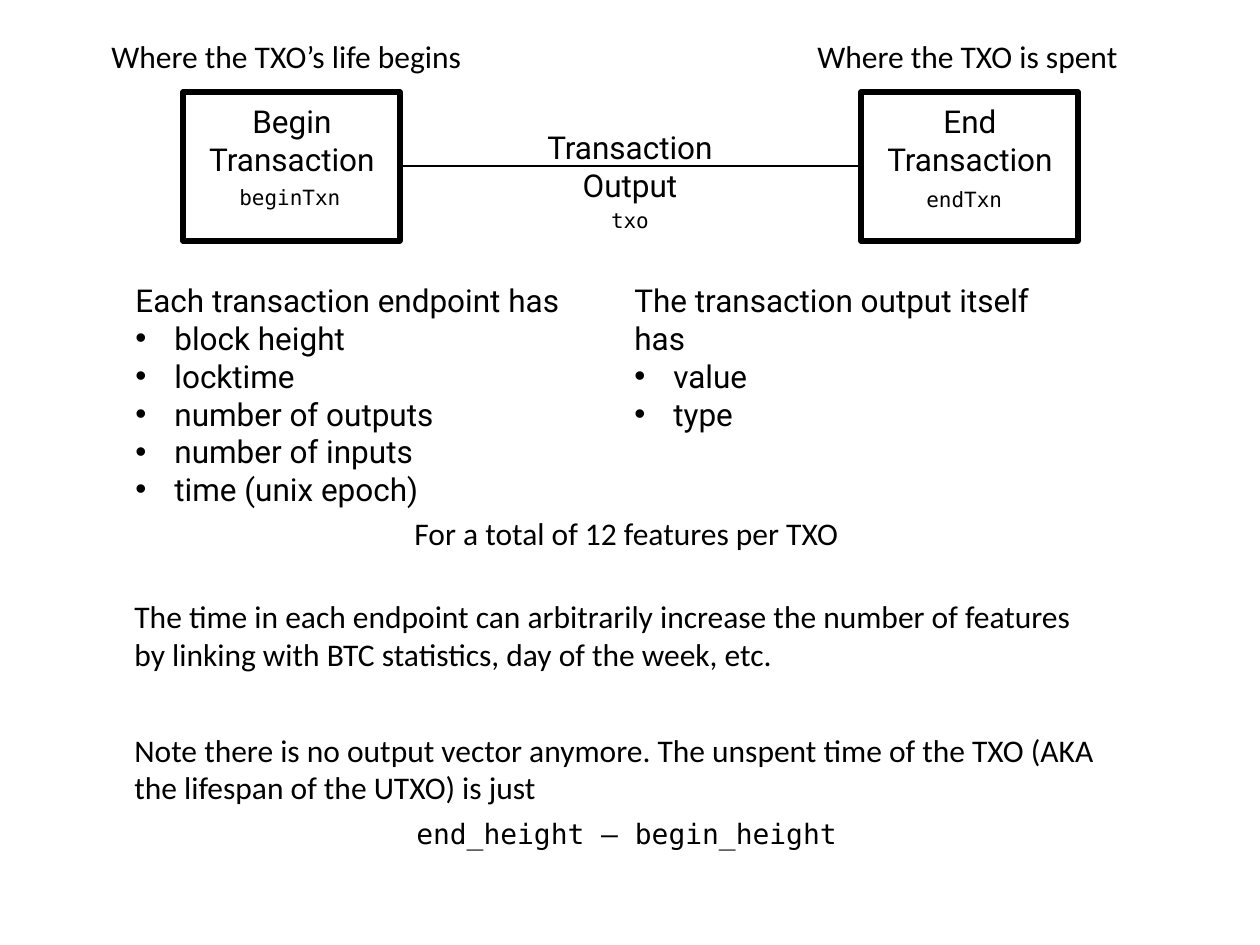
import pptx
import pptx.dml.color
import pptx.enum.shapes
import pptx.enum.text
import pptx.util
from lxml import etree

EMU_PER_PX = 914400 / 126
BLACK = pptx.dml.color.RGBColor(0, 0, 0)
HEADING_FONT = "Roboto"
BODY_FONT = "Calibri"
CODE_FONT = "DejaVu Sans Mono"
LEFT = pptx.enum.text.PP_ALIGN.LEFT
CENTER = pptx.enum.text.PP_ALIGN.CENTER
BULLET_INDENT = 39


def px(length):
    return pptx.util.Emu(round(length * EMU_PER_PX))


def add_text(shapes, box, lines, font, size=18, align=LEFT, wrap=False):
    frame = shapes.add_textbox(*map(px, box)).text_frame
    frame.word_wrap = wrap
    frame.auto_size = pptx.enum.text.MSO_AUTO_SIZE.SHAPE_TO_FIT_TEXT
    frame.text = "\n".join(lines)
    for paragraph in frame.paragraphs:
        paragraph.alignment = align
        for run in paragraph.runs:
            run.font.name = font
            run.font.size = pptx.util.Pt(size)
            run.font.color.rgb = BLACK
    return frame


def add_bullet(paragraph):
    properties = paragraph._p.get_or_add_pPr()
    properties.set("marL", str(px(BULLET_INDENT)))
    properties.set("indent", str(-px(BULLET_INDENT)))
    bullet_font = etree.SubElement(properties, pptx.oxml.ns.qn("a:buFont"))
    bullet_font.set("typeface", "Arial")
    bullet = etree.SubElement(properties, pptx.oxml.ns.qn("a:buChar"))
    bullet.set("char", "•")


def add_feature_list(slide, box, heading, features, wrap=False):
    frame = add_text(slide.shapes, box, [heading, *features], HEADING_FONT, wrap=wrap)
    for paragraph in frame.paragraphs[1:]:
        add_bullet(paragraph)


def add_endpoint(slide, left, role):
    endpoint = slide.shapes.add_group_shape()
    frame = endpoint.shapes.add_shape(
        pptx.enum.shapes.MSO_SHAPE.RECTANGLE, px(left), px(92), px(217), px(149))
    frame.shadow.inherit = False
    frame.fill.background()
    frame.line.color.rgb = BLACK
    frame.line.width = pptx.util.Pt(3)
    add_text(endpoint.shapes, (left + 9, 96, 200, 89),
             [role, "Transaction"], HEADING_FONT, align=CENTER)


def add_output_line(slide, start, end, y):
    output = slide.shapes.add_connector(
        pptx.enum.shapes.MSO_CONNECTOR.STRAIGHT, px(start), px(y), px(end), px(y))
    output.line.color.rgb = BLACK
    output.line.width = pptx.util.Pt(1.5)
    etree.SubElement(output._element.spPr, pptx.oxml.ns.qn("a:effectLst"))


def add_diagram(slide):
    shapes = slide.shapes
    add_endpoint(slide, 183, "Begin")
    add_endpoint(slide, 861, "End")
    add_output_line(slide, 400, 861, 166)
    add_text(shapes, (530, 122, 200, 89), ["Transaction", "Output"],
             HEADING_FONT, align=CENTER)
    add_text(shapes, (227, 178, 127, 38), ["beginTxn"], CODE_FONT, 12)
    add_text(shapes, (914, 180, 102, 38), ["endTxn"], CODE_FONT, 12)
    add_text(shapes, (598, 201, 64, 38), ["txo"], CODE_FONT, 12, CENTER)
    add_text(shapes, (99, 31, 383, 50), ["Where the TXO’s life begins"], BODY_FONT)
    add_text(shapes, (805, 31, 330, 50), ["Where the TXO is spent"], BODY_FONT)


def add_notes_on_features(slide):
    shapes = slide.shapes
    add_text(shapes, (402, 508, 457, 50), ["For a total of 12 features per TXO"], BODY_FONT)
    remarks = add_text(shapes, (122, 591, 989, 225), [
        "The time in each endpoint can arbitrarily increase the number of features "
        "by linking with BTC statistics, day of the week, etc.",
        "Note there is no output vector anymore. The unspent time of the TXO "
        "(AKA the lifespan of the UTXO) is just",
    ], BODY_FONT, wrap=True)
    remarks.paragraphs[1].space_before = pptx.util.Pt(33)
    add_text(shapes, (404, 810, 451, 81), ["end_height – begin_height"], CODE_FONT, 16)


def main():
    deck = pptx.Presentation()
    deck.slide_width, deck.slide_height = px(1260), px(945)
    slide = deck.slides.add_slide(deck.slide_layouts[6])
    add_diagram(slide)
    add_feature_list(slide, (123, 275, 462, 242), "Each transaction endpoint has",
                     ["block height", "locktime", "number of outputs",
                      "number of inputs", "time (unix epoch)"])
    add_feature_list(slide, (622, 275, 476, 127), "The transaction output itself has",
                     ["value", "type"], wrap=True)
    add_notes_on_features(slide)
    deck.save("out.pptx")


if __name__ == "__main__":
    main()
